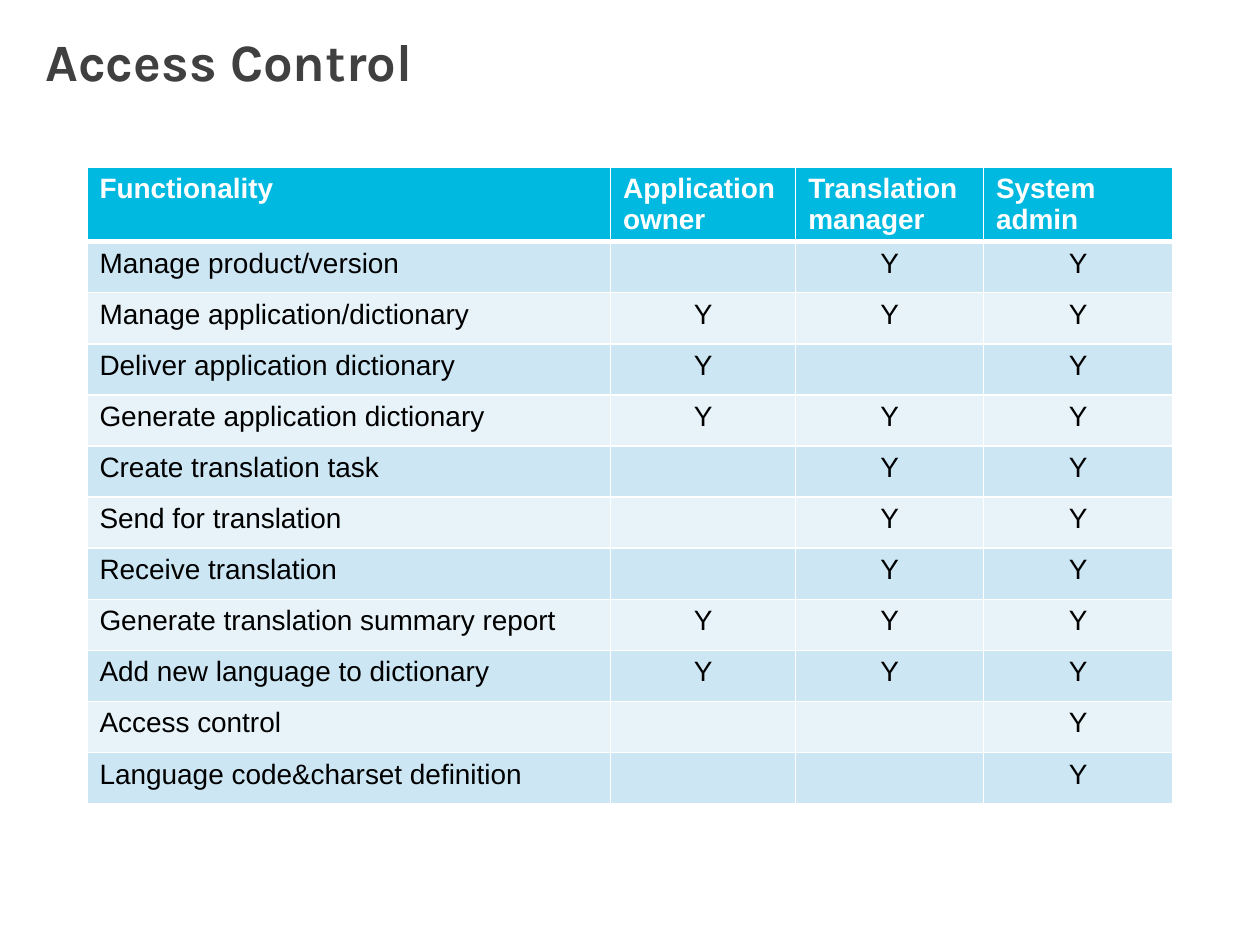
from lxml.etree import SubElement
from pptx import Presentation
from pptx.dml.color import RGBColor as RGB
from pptx.enum.text import MSO_ANCHOR as ANCHOR, PP_ALIGN as ALIGN
from pptx.oxml.ns import qn
from pptx.util import Pt

COLORS = {
    "title": "404040",
    "header": "00B9E1",
    "odd": "CCE6F4",
    "even": "E7F3F9",
    "white": "FFFFFF",
    "black": "000000",
}
HEADINGS = ["Functionality", "Application owner", "Translation manager", "System admin"]
PERMISSIONS = [
    ("Manage product/version", "", "Y", "Y"),
    ("Manage application/dictionary", "Y", "Y", "Y"),
    ("Deliver application dictionary", "Y", "", "Y"),
    ("Generate application dictionary", "Y", "Y", "Y"),
    ("Create translation task", "", "Y", "Y"),
    ("Send for translation", "", "Y", "Y"),
    ("Receive translation", "", "Y", "Y"),
    ("Generate translation summary report", "Y", "Y", "Y"),
    ("Add new language to dictionary", "Y", "Y", "Y"),
    ("Access control", "", "", "Y"),
    ("Language code&charset definition", "", "", "Y"),
]
COL_WIDTHS = [299.2, 105.8, 107.3, 108.4]
HEADER_HEIGHT = 42
ROW_HEIGHT = 29.2


def add_text(tf, text, size=16, font="Arial", color="black", bold=False,
             align=ALIGN.LEFT, spacing=None):
    p = tf.paragraphs[0]
    p.alignment = align
    if spacing:
        p.line_spacing = Pt(spacing)
    r = p.add_run()
    r.text = text
    r.font.size = Pt(size)
    r.font.name = font
    r.font.bold = bold
    r.font.color.rgb = RGB.from_string(COLORS[color])


def add_title(s, text):
    sp = s.shapes.title
    sp.left, sp.top, sp.width, sp.height = Pt(18.7), Pt(18.7), Pt(680.4), Pt(90)
    tf = sp.text_frame
    tf.word_wrap = True
    tf.vertical_anchor = ANCHOR.TOP
    add_text(tf, text, size=30, font="Karla", color="title", bold=True, spacing=30)


def set_borders(cell, widths):
    tc_pr = cell._tc.get_or_add_tcPr()
    for i, (side, width) in enumerate(widths.items()):
        ln = SubElement(tc_pr, qn(f"a:{side}"), w=str(Pt(width)))
        fill = SubElement(ln, qn("a:solidFill"))
        SubElement(fill, qn("a:srgbClr"), val=COLORS["white"])
        tc_pr.insert(i, ln)


def add_cell(cell, text, row, col):
    header = row == 0
    fill = "header" if header else "odd" if row % 2 else "even"
    cell.fill.solid()
    cell.fill.fore_color.rgb = RGB.from_string(COLORS[fill])
    set_borders(cell, {"lnL": 1, "lnR": 1, "lnT": 3 if row == 1 else 1,
                       "lnB": 3 if header else 1})
    if text:
        add_text(cell.text_frame, text, bold=header,
                 color="white" if header else "black",
                 align=ALIGN.LEFT if header or col == 0 else ALIGN.CENTER)


def add_permissions(s):
    rows = [HEADINGS, *PERMISSIONS]
    height = HEADER_HEIGHT + ROW_HEIGHT * len(PERMISSIONS)
    table = s.shapes.add_table(len(rows), len(HEADINGS), Pt(49.7), Pt(95.3),
                               Pt(sum(COL_WIDTHS)), Pt(height)).table
    for column, width in zip(table.columns, COL_WIDTHS):
        column.width = Pt(width)
    for i, values in enumerate(rows):
        table.rows[i].height = Pt(ROW_HEIGHT if i else HEADER_HEIGHT)
        for j, text in enumerate(values):
            add_cell(table.cell(i, j), text, i, j)


def main():
    prs = Presentation()
    prs.slide_width, prs.slide_height = Pt(720), Pt(540)
    s = prs.slides.add_slide(prs.slide_layouts[5])
    add_title(s, "Access Control")
    add_permissions(s)
    prs.save("out.pptx")


if __name__ == "__main__":
    main()
